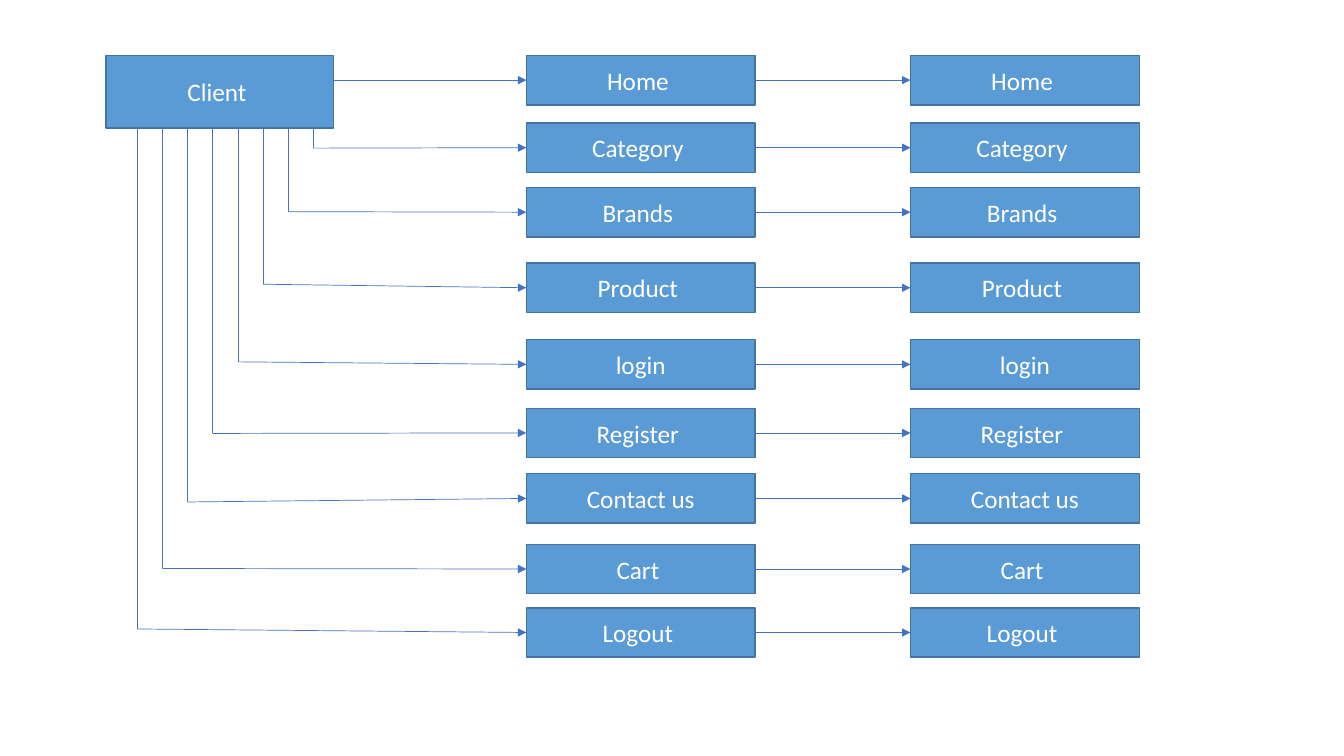
from dataclasses import dataclass

from lxml import etree
from pptx import Presentation
from pptx.dml.color import RGBColor
from pptx.enum.shapes import MSO_CONNECTOR, MSO_SHAPE
from pptx.enum.text import MSO_ANCHOR, PP_ALIGN
from pptx.oxml.ns import qn
from pptx.util import Inches, Pt

RECTANGLE = MSO_SHAPE.RECTANGLE
STRAIGHT = MSO_CONNECTOR.STRAIGHT
CENTER = PP_ALIGN.CENTER
MIDDLE = MSO_ANCHOR.MIDDLE


@dataclass(frozen=True)
class Theme:
    """Colours, type and line widths of the slide."""
    fill: RGBColor = RGBColor.from_string("5B9BD5")
    border: RGBColor = RGBColor.from_string("43739E")
    arrow: RGBColor = RGBColor.from_string("4472C4")
    text: RGBColor = RGBColor.from_string("FFFFFF")
    font: str = "Calibri"
    text_size: Pt = Pt(18)
    border_width: Pt = Pt(1)
    arrow_width: Pt = Pt(0.5)


THEME = Theme()

# Lengths in inches
CLIENT_LEFT, CLIENT_TOP, CLIENT_WIDTH, CLIENT_HEIGHT = 1.05, 0.55, 2.26, 0.72
CLIENT_RIGHT = CLIENT_LEFT + CLIENT_WIDTH
CLIENT_BOTTOM = CLIENT_TOP + CLIENT_HEIGHT
REQUEST_LEFT, VIEW_LEFT = 5.22, 9.03
BOX_WIDTH, BOX_HEIGHT = 2.27, 0.49
FIRST_DROP, DROP_STEP = 3.11, 0.25

HOME = ("Home ", 0.55)
# Label, top of its boxes, height at which its line from the client bends
BRANCHES = [
    ("Category ", 1.22, 1.47),
    ("Brands ", 1.86, 2.10),
    ("Product ", 2.61, 2.82),
    ("login", 3.37, 3.59),
    ("Register ", 4.05, 4.30),
    ("Contact us", 4.70, 4.98),
    ("Cart ", 5.40, 5.64),
    ("Logout ", 6.03, 6.24),
]


def add_box(page, label, left, top, width=BOX_WIDTH, height=BOX_HEIGHT):
    """Add a filled rectangle with a centred label."""
    box = page.shapes.add_shape(
        RECTANGLE, Inches(left), Inches(top), Inches(width), Inches(height))
    box.shadow.inherit = False
    box.fill.solid()
    box.fill.fore_color.rgb = THEME.fill
    box.line.color.rgb = THEME.border
    box.line.width = THEME.border_width
    box.text_frame.word_wrap = True
    box.text_frame.vertical_anchor = MIDDLE
    para = box.text_frame.paragraphs[0]
    para.alignment = CENTER
    span = para.add_run()
    span.text = label
    span.font.name = THEME.font
    span.font.size = THEME.text_size
    span.font.color.rgb = THEME.text


def add_line(page, start, end, arrow=True):
    """Add a thin line, with an arrowhead at its end if wanted."""
    line = page.shapes.add_connector(
        STRAIGHT, *(Inches(value) for value in (*start, *end)))
    line.line.color.rgb = THEME.arrow
    line.line.width = THEME.arrow_width
    if arrow:
        outline = line.line._get_or_add_ln()
        etree.SubElement(outline, qn("a:tailEnd"), type="triangle")
    etree.SubElement(line._element.spPr, qn("a:effectLst"))


def add_route(page, label, top):
    """Add a request box joined to its view box; return their middle height."""
    middle = top + BOX_HEIGHT / 2
    for left in (REQUEST_LEFT, VIEW_LEFT):
        add_box(page, label, left, top)
    add_line(page, (REQUEST_LEFT + BOX_WIDTH, middle), (VIEW_LEFT, middle))
    return middle


def add_branch(page, drop, bend, middle):
    """Add the line down from the client and across to a request box."""
    add_line(page, (drop, CLIENT_BOTTOM), (drop, bend), arrow=False)
    add_line(page, (drop, bend), (REQUEST_LEFT, middle))


def main():
    """Build the slide and save it."""
    deck = Presentation()
    deck.slide_width, deck.slide_height = Inches(13.33), Inches(7.5)
    page = deck.slides.add_slide(deck.slide_layouts[6])

    add_box(page, "Client ", CLIENT_LEFT, CLIENT_TOP, CLIENT_WIDTH, CLIENT_HEIGHT)
    middle = add_route(page, *HOME)
    add_line(page, (CLIENT_RIGHT, middle), (REQUEST_LEFT, middle))
    for index, (label, top, bend) in enumerate(BRANCHES):
        middle = add_route(page, label, top)
        add_branch(page, FIRST_DROP - index * DROP_STEP, bend, middle)

    deck.save("out.pptx")


main()
